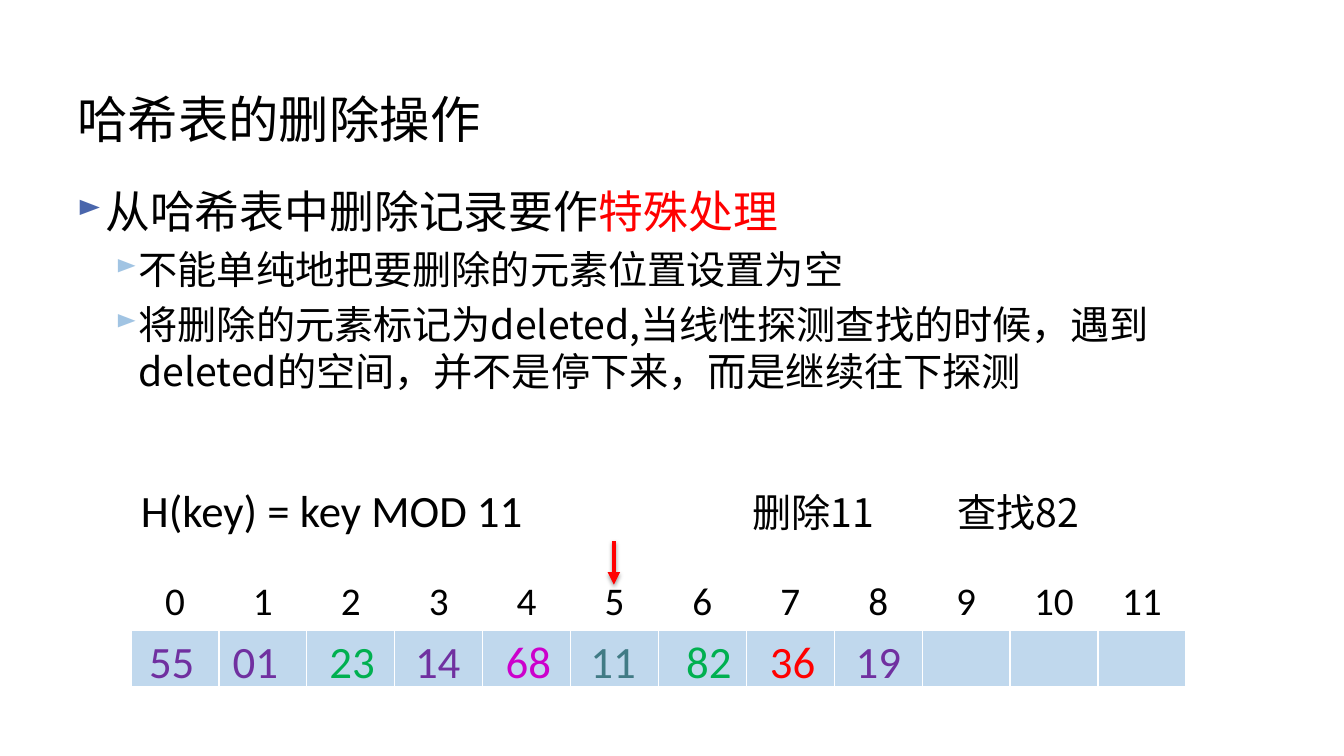
from pptx import Presentation, oxml
from pptx import util as u
from pptx.dml import color
from pptx.enum import shapes, text
from pptx.oxml import ns

SANS = "Noto Sans CJK SC"
LATIN = "Calibri"
BLACK, RED, PURPLE, GREEN = "000000", "FF0000", "7030A0", "00B050"
PALE_BLUE, WHITE = "C0D8ED", "FFFFFF"


def rgb(value):
    return color.RGBColor.from_string(value)


def apply(target, values):
    for name, value in values.items():
        setattr(target, name, value)


def add_xml(parent, tag, content="", **attributes):
    listed = "".join(f' {name}="{value}"' for name, value in attributes.items())
    parent.append(oxml.parse_xml(f'<a:{tag} {ns.nsdecls("a")}{listed}>{content}</a:{tag}>'))


class SlideBuilder:
    def __init__(self, presentation):
        self.slide = presentation.slides.add_slide(presentation.slide_layouts[5])

    def run(self, paragraph, words, size, font=SANS, ink=BLACK):
        run = paragraph.add_run()
        run.text = words
        apply(run.font, {"size": u.Pt(size), "name": font, "bold": False})
        run.font.color.rgb = rgb(ink)
        add_xml(run.font._element, "ea", typeface=SANS)

    def title(self, words, box, size):
        shape = self.slide.shapes.title
        apply(shape, dict(zip(("left", "top", "width", "height"), map(u.Pt, box))))
        apply(shape.text_frame, {
            "vertical_anchor": text.MSO_ANCHOR.MIDDLE,
            "auto_size": text.MSO_AUTO_SIZE.NONE,
            "word_wrap": True,
        })
        paragraph = shape.text_frame.paragraphs[0]
        paragraph.alignment = text.PP_ALIGN.LEFT
        self.run(paragraph, words, size)

    def frame(self, box, wrap=True):
        frame = self.slide.shapes.add_textbox(*map(u.Pt, box)).text_frame
        frame.word_wrap = wrap
        return frame

    def label(self, words, box, size, font=LATIN, ink=BLACK, wrap=True, spacing=None):
        paragraph = self.frame(box, wrap).paragraphs[0]
        paragraph.line_spacing = spacing
        self.run(paragraph, words, size, font, ink)

    def bullets(self, items, box):
        frame = self.frame(box)
        for index, (level, runs) in enumerate(items):
            paragraph = frame.add_paragraph() if index else frame.paragraphs[0]
            margin, hang, size, bullet_ink = (
                (44, 16.5, 28, "A1C4E3") if level else (20.2, 20.2, 32, "4A66AC")
            )
            properties = paragraph._p.get_or_add_pPr()
            properties.set("marL", str(u.Pt(margin)))
            properties.set("indent", str(-u.Pt(hang)))
            add_xml(properties, "buClr", f'<a:srgbClr val="{bullet_ink}"/>')
            add_xml(properties, "buSzPct", val=70000)
            add_xml(properties, "buChar", char="►")
            apply(paragraph, {
                "level": level,
                "line_spacing": u.Pt(size * 1.2),
                "space_before": u.Pt(size * 0.2 if index else 0),
            })
            for words, font, ink in runs:
                self.run(paragraph, words, size, font, ink)

    def slot_table(self, count, left, top, column_width, row_height):
        table = self.slide.shapes.add_table(
            2, count, u.Pt(left), u.Pt(top), u.Pt(count * column_width), u.Pt(2 * row_height)
        ).table
        apply(table, {"first_row": False, "horz_banding": False})
        for column in table.columns:
            column.width = u.Pt(column_width)
        for index in range(count):
            number, slot = table.cell(0, index), table.cell(1, index)
            for cell in (number, slot):
                cell.vertical_anchor = text.MSO_ANCHOR.MIDDLE
                for side in ("lnL", "lnR", "lnT", "lnB"):
                    add_xml(
                        cell._tc.get_or_add_tcPr(), side,
                        f'<a:solidFill><a:srgbClr val="{WHITE}"/></a:solidFill>', w=u.Pt(1),
                    )
            number.fill.background()
            slot.fill.solid()
            slot.fill.fore_color.rgb = rgb(PALE_BLUE)
            paragraph = number.text_frame.paragraphs[0]
            paragraph.alignment = text.PP_ALIGN.CENTER
            self.run(paragraph, str(index), 28, LATIN)

    def arrow(self, start, end, ink, width):
        connector = self.slide.shapes.add_connector(
            shapes.MSO_CONNECTOR.STRAIGHT, *map(u.Pt, start + end)
        )
        connector.line.color.rgb = rgb(ink)
        connector.line.width = u.Pt(width)
        add_xml(connector.line._get_or_add_ln(), "tailEnd", type="triangle")
        add_xml(
            connector._element.spPr, "effectLst",
            f'<a:outerShdw blurRad="{u.Pt(3.1)}" dist="{u.Pt(1.6)}" dir="5400000" rotWithShape="0">'
            '<a:srgbClr val="000000"><a:alpha val="38000"/></a:srgbClr></a:outerShdw>',
        )


def main():
    presentation = Presentation()
    apply(presentation, {"slide_width": u.Pt(960), "slide_height": u.Pt(540)})
    builder = SlideBuilder(presentation)

    builder.title("哈希表的删除操作", (48, 57.6, 864, 54), 36)
    builder.bullets([
        (0, [("从哈希表中删除记录要作", "Times New Roman", BLACK),
             ("特殊处理", "Times New Roman", RED)]),
        (1, [("不能单纯地把要删除的元素位置设置为空", SANS, BLACK)]),
        (1, [("将删除的元素标记为deleted,当线性探测查找的时候，"
              "遇到deleted的空间，并不是停下来，而是继续往下探测", SANS, BLACK)]),
    ], (48, 128, 864, 201))

    builder.slot_table(12, 93.6, 409.7, 62.8, 40)
    keys = [
        ("55", 99.4, PURPLE), ("01", 159.1, PURPLE), ("23", 228.2, GREEN),
        ("14", 289.4, PURPLE), ("68", 354.2, "CC00CC"), ("11", 414.7, "417B85"),
        ("82", 483.1, GREEN), ("36", 542.9, RED), ("19", 604.1, PURPLE),
    ]
    for key, left, ink in keys:
        builder.label(key, (left, 449.3, 47.5, 46), 32, ink=ink, wrap=False)

    builder.label("H(key) = key MOD 11", (93.6, 341.3, 292.3, 46), 32)
    for words, left in (("删除11", 530.6), ("查找82", 676.8)):
        builder.label(words, (left, 345.5, 124.6, 41), 28, SANS, spacing=u.Pt(33.6))
    builder.arrow((438.5, 386.6), (438.5, 417.6), RED, 3)

    presentation.save("out.pptx")


if __name__ == "__main__":
    main()
